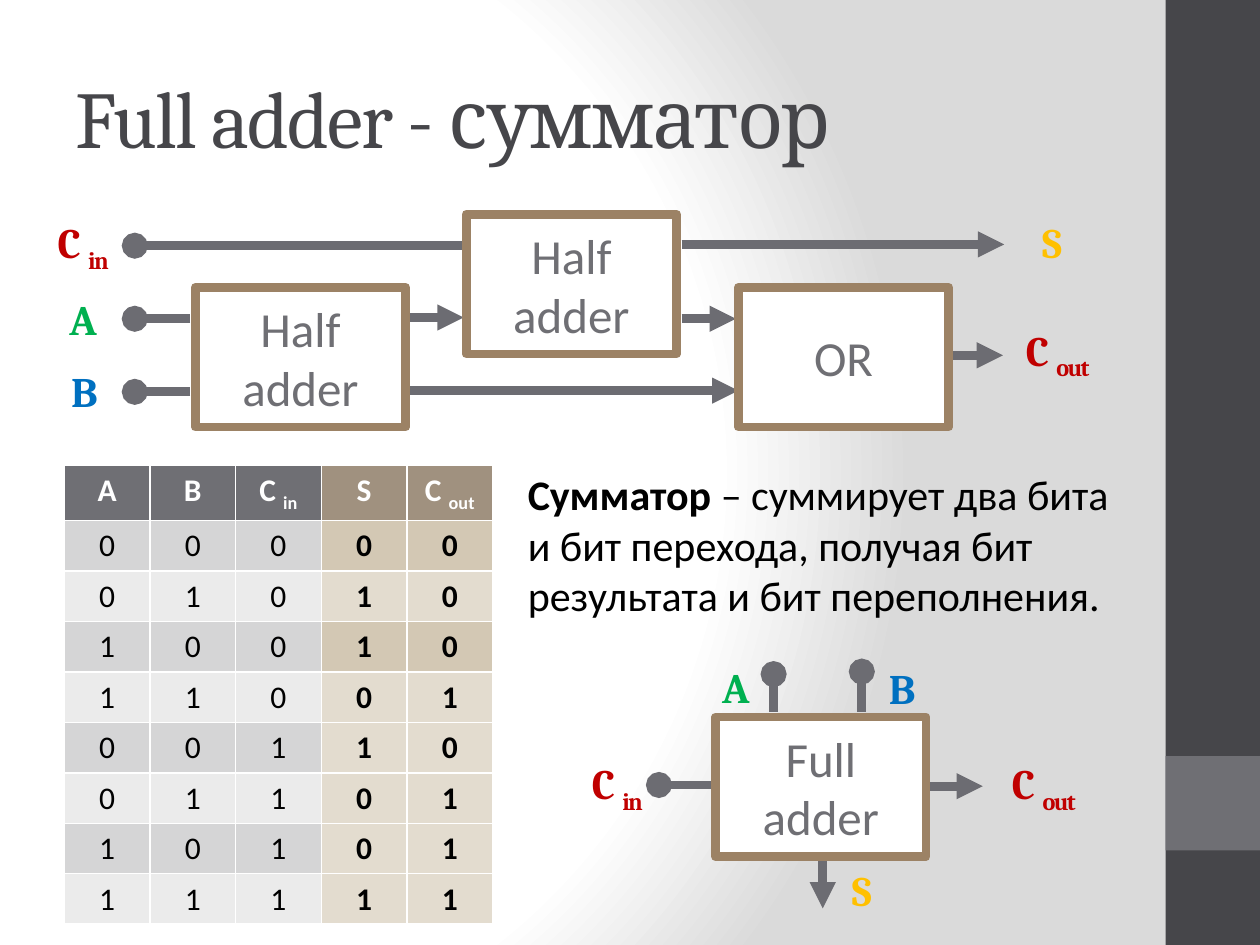
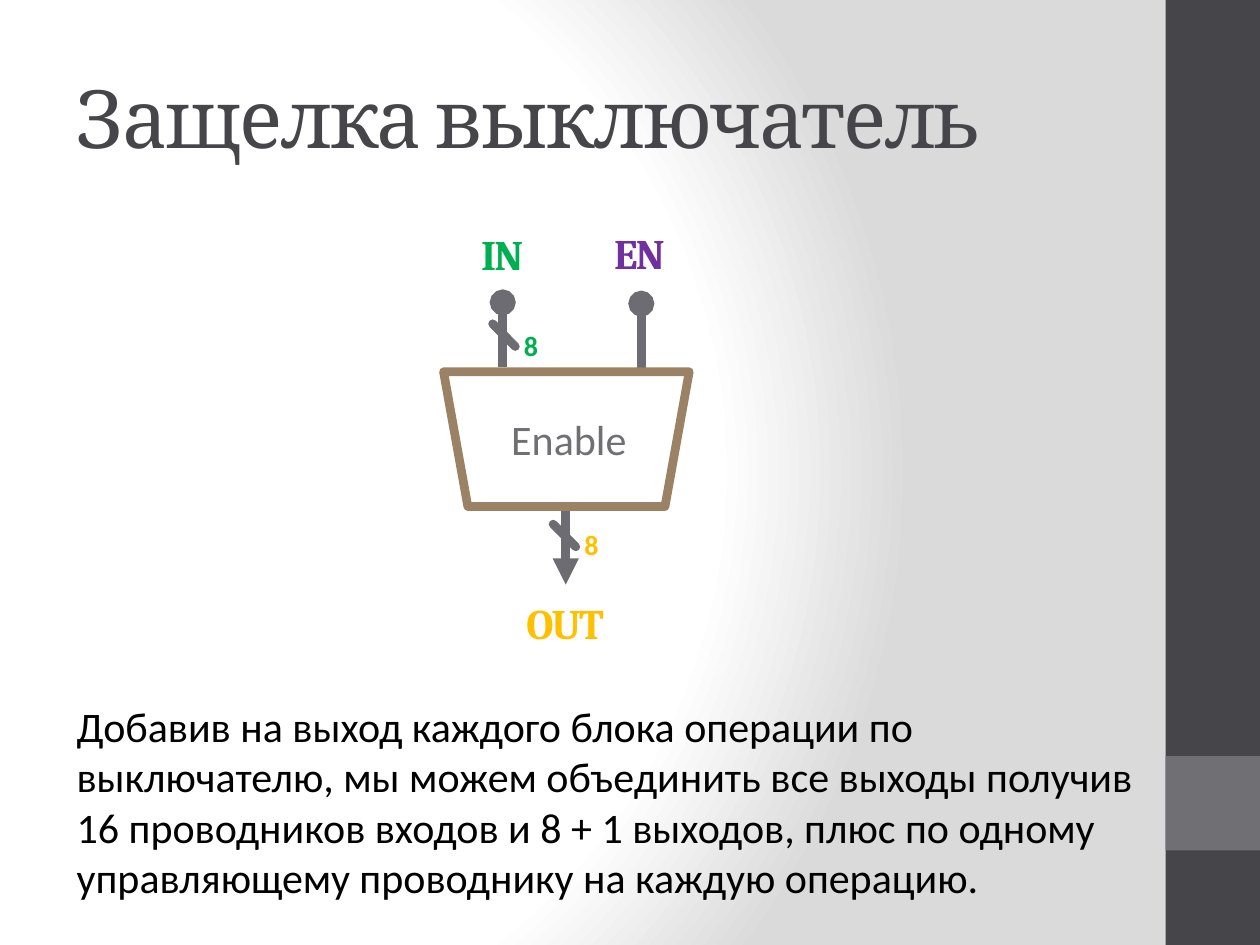
from itertools import product

from pptx import Presentation
from pptx.dml.color import RGBColor
from pptx.enum.shapes import MSO_CONNECTOR, MSO_SHAPE
from pptx.enum.text import MSO_ANCHOR, PP_ALIGN
from pptx.oxml import parse_xml
from pptx.oxml.ns import nsdecls, qn
from pptx.util import Inches, Pt

DARK = RGBColor(0x46, 0x46, 0x4A)
GREY = RGBColor(0x6F, 0x6F, 0x74)
WIRE = RGBColor(0x6C, 0x6C, 0x72)
BROWN = RGBColor(0x9C, 0x82, 0x65)
WHITE = RGBColor(0xFF, 0xFF, 0xFF)
BLACK = RGBColor(0x00, 0x00, 0x00)
GREEN = RGBColor(0x00, 0xB0, 0x50)
BLUE = RGBColor(0x00, 0x70, 0xC0)
RED = RGBColor(0xC0, 0x00, 0x00)
GOLD = RGBColor(0xFF, 0xC0, 0x00)
PURPLE = RGBColor(0x70, 0x30, 0xA0)
TAN = RGBColor(0xA0, 0x91, 0x7F)
IN_FILLS = RGBColor(0xEB, 0xEB, 0xEB), RGBColor(0xD5, 0xD5, 0xD6)
OUT_LIGHT = RGBColor(0xE3, 0xDC, 0xCF)
OUT_DEEP = RGBColor(0xD3, 0xC8, 0xB4)

deck = Presentation()
deck.slide_width, deck.slide_height = Inches(10), Inches(7.5)
# The grid has 100 columns and 75 rows of square cells.
CELL = deck.slide_width // 100


def grid(*cells):
    """Turn columns and rows of the grid into slide lengths."""
    return [int(cell * CELL) for cell in cells]


def write(frame, words, size=24, color=BLACK, face="Calibri", bold=False,
          align=PP_ALIGN.LEFT, anchor=MSO_ANCHOR.TOP, tight=False, lead=""):
    """Write words after a bold lead; an underscore starts a subscript."""
    frame.word_wrap = True
    frame.vertical_anchor = anchor
    for row, line in enumerate(words.split("\n")):
        para = frame.add_paragraph() if row else frame.paragraphs[0]
        para.alignment = align
        main, _, low = line.partition("_")
        for part, heavy, base in ((lead, True, 0), (main, bold, 0),
                                  (low, bold, -25000)):
            if part:
                run = para.add_run()
                run.text = part
                font = run.font
                font.name, font.size, font.bold = face, Pt(size), heavy
                font.color.rgb = color
                props = run._r.get_or_add_rPr()
                if tight:
                    props.set("spc", "-100")
                if base:
                    props.set("baseline", str(base))


MID = dict(align=PP_ALIGN.CENTER, anchor=MSO_ANCHOR.MIDDLE)
SIGNAL = dict(face="Cambria", bold=True, tight=True, **MID)
RECT, TRAP = MSO_SHAPE.RECTANGLE, MSO_SHAPE.TRAPEZOID
BOX = 16.7, 11.1

# Wires run from the plain end to the end that has the tip.
adder = dict(
    title="Full adder - сумматор",
    wires=[
        (15.1, 25.3, 10.7, 25.3, "oval"),
        (15.1, 31.1, 10.7, 31.1, "oval"),
        (36.8, 19.5, 10.7, 19.5, "oval"),
        (32.5, 25.2, 36.8, 25.2, "triangle"),
        (32.5, 31, 58.6, 31, "triangle"),
        (54.1, 19.4, 79.7, 19.4, "triangle"),
        (54.1, 25.3, 58.4, 25.3, "triangle"),
        (75.2, 28.2, 79.6, 28.2, "triangle"),
        (61.4, 56.5, 61.4, 53.5, "oval"),
        (68.4, 56.5, 68.4, 53.3, "oval"),
        (56.7, 62.3, 52.3, 62.3, "oval"),
        (73.6, 62.4, 78, 62.4, "triangle"),
        (65.3, 68.2, 65.3, 72.1, "triangle"),
    ],
    boxes=[
        (RECT, "Half\nadder", 15.5, 22.8, *BOX),
        (RECT, "Half\nadder", 37, 17, *BOX),
        (RECT, "OR", 58.6, 22.8, *BOX),
        (RECT, "Full adder", 56.8, 56.9, *BOX),
    ],
    signals=[
        ("C _in", RED, 3.2, 18, 6.8, 3),
        ("A", GREEN, 4.1, 23.8, 5, 3),
        ("B", BLUE, 4.2, 29.5, 5, 3),
        ("S", GOLD, 81, 17.7, 5, 3),
        ("C _out", RED, 79.6, 26.5, 8.7, 3),
        ("C _in", RED, 45.6, 60.9, 6.8, 3),
        ("A", GREEN, 55.9, 53, 5, 3),
        ("B", BLUE, 69.1, 53.1, 5, 3),
        ("S", GOLD, 65.9, 69.1, 5, 3),
        ("C _out", RED, 78.5, 60.9, 8.7, 3),
    ],
    notes=[
        ("– суммирует два бита и бит перехода, получая бит результата "
         "и бит переполнения.", (40.9, 36.7, 49.8, 13.1),
         dict(lead="Сумматор ")),
    ],
)
latch = dict(
    title="Защелка выключатель",
    wires=[
        (39.9, 29.1, 39.9, 24, "oval"),
        (50.9, 29.2, 50.9, 24.1, "oval"),
        (44.9, 40.5, 44.9, 46.4, "triangle"),
        (39.1, 25.7, 40.9, 27.5, None),
        (43.9, 41.6, 45.7, 43.4, None),
    ],
    boxes=[(TRAP, "", 35.2, 29.5, 19.5, 10.7)],
    signals=[
        ("IN", GREEN, 36.7, 18.6, 6.3, 3.1),
        ("EN", PURPLE, 47.6, 18.5, 6.3, 3.1),
        ("OUT", GOLD, 40, 47.9, 9.7, 3),
    ],
    notes=[
        ("Добавив на выход каждого блока операции по выключателю, мы можем "
         "объединить все выходы получив 16 проводников входов и 8 + 1 "
         "выходов, плюс по одному управляющему проводнику на каждую "
         "операцию.", (5.1, 55.1, 89.1, 17.2), {}),
        ("Enable", (39, 32.3, 12.3, 5),
         dict(color=GREY, align=PP_ALIGN.CENTER)),
        ("8", (40.6, 25.6, 3.2, 3.7), dict(size=16, color=GREEN, bold=True)),
        ("8", (45.4, 41.4, 3.2, 3.7), dict(size=16, color=GOLD, bold=True)),
    ],
)

# Shared background: a round glow, white at the left.
master = deck.slide_master
master.background.fill.gradient()
glow = master.element.find(".//" + qn("a:gradFill"))
stops = "".join(
    f'<a:gs pos="{share}000"><a:srgbClr val="{tone}"/></a:gs>'
    for share, tone in ((0, "FFFFFF"), (75, "FFFFFF"), (100, "DADADA")))
glow.getparent().replace(glow, parse_xml(
    f'<a:gradFill {nsdecls("a")} rotWithShape="1"><a:gsLst>{stops}</a:gsLst>'
    '<a:path path="circle"><a:fillToRect l="20000" t="50000" r="100000" '
    'b="50000"/></a:path></a:gradFill>'))

for page in (adder, latch):
    shapes = deck.slides.add_slide(deck.slide_layouts[6]).shapes

    for tone, top, high in ((DARK, 0, 75), (GREY, 60, 7.5)):
        band = shapes.add_shape(RECT, *grid(92.5, top, 7.5, high))
        band.shadow.inherit = False
        band.fill.solid()
        band.fill.fore_color.rgb = tone
        band.line.fill.background()

    head = shapes.add_textbox(*grid(5, 3, 83.3, 12.5))
    write(head.text_frame, page["title"], size=46, color=DARK,
          face="Cambria", anchor=MSO_ANCHOR.MIDDLE, tight=True)

    for *ends, tip in page["wires"]:
        wire = shapes.add_connector(MSO_CONNECTOR.STRAIGHT, *grid(*ends))
        wire.line.color.rgb = WIRE
        wire.line.width = Pt(5)
        props = wire.element.spPr
        line = props.find(qn("a:ln"))
        if tip:
            line.append(parse_xml(
                f'<a:tailEnd {nsdecls("a")} type="{tip}"/>'))
        else:
            line.set("cap", "rnd")
        props.append(parse_xml(f'<a:effectLst {nsdecls("a")}/>'))

    for kind, words, *place in page["boxes"]:
        box = shapes.add_shape(kind, *grid(*place))
        box.shadow.inherit = False
        box.fill.solid()
        box.fill.fore_color.rgb = WHITE
        box.line.color.rgb = BROWN
        box.line.width = Pt(5)
        if kind == TRAP:
            box.rotation = 180
            box.adjustments[0] = 0.18
        write(box.text_frame, words, size=28, color=GREY, **MID)

    for words, tone, *place in page["signals"]:
        label = shapes.add_textbox(*grid(*place))
        write(label.text_frame, words, color=tone, **SIGNAL)

    for words, place, style in page["notes"]:
        note = shapes.add_textbox(*grid(*place))
        write(note.text_frame, words, **style)

# Truth table: the sum and the carry follow from the three inputs.
rows = [("A", "B", "С _in", "S", "C _out")]
for c, a, b in product((0, 1), repeat=3):
    rows.append((a, b, c, a ^ b ^ c, (a + b + c) // 2))

table = deck.slides[0].shapes.add_table(
    len(rows), 5, *grid(5.1, 36.9, 34, 36)).table
for r, row in enumerate(rows):
    for col, value in enumerate(row):
        result = col > 2
        if r == 0:
            tone = TAN if result else GREY
        elif result:
            tone = OUT_DEEP if r in (1, 3) else OUT_LIGHT
        else:
            tone = IN_FILLS[r % 2]
        cell = table.cell(r, col)
        cell.fill.solid()
        cell.fill.fore_color.rgb = tone
        write(cell.text_frame, str(value), size=18,
              color=BLACK if r else WHITE, bold=result or r == 0,
              align=PP_ALIGN.CENTER)

deck.save("out.pptx")
